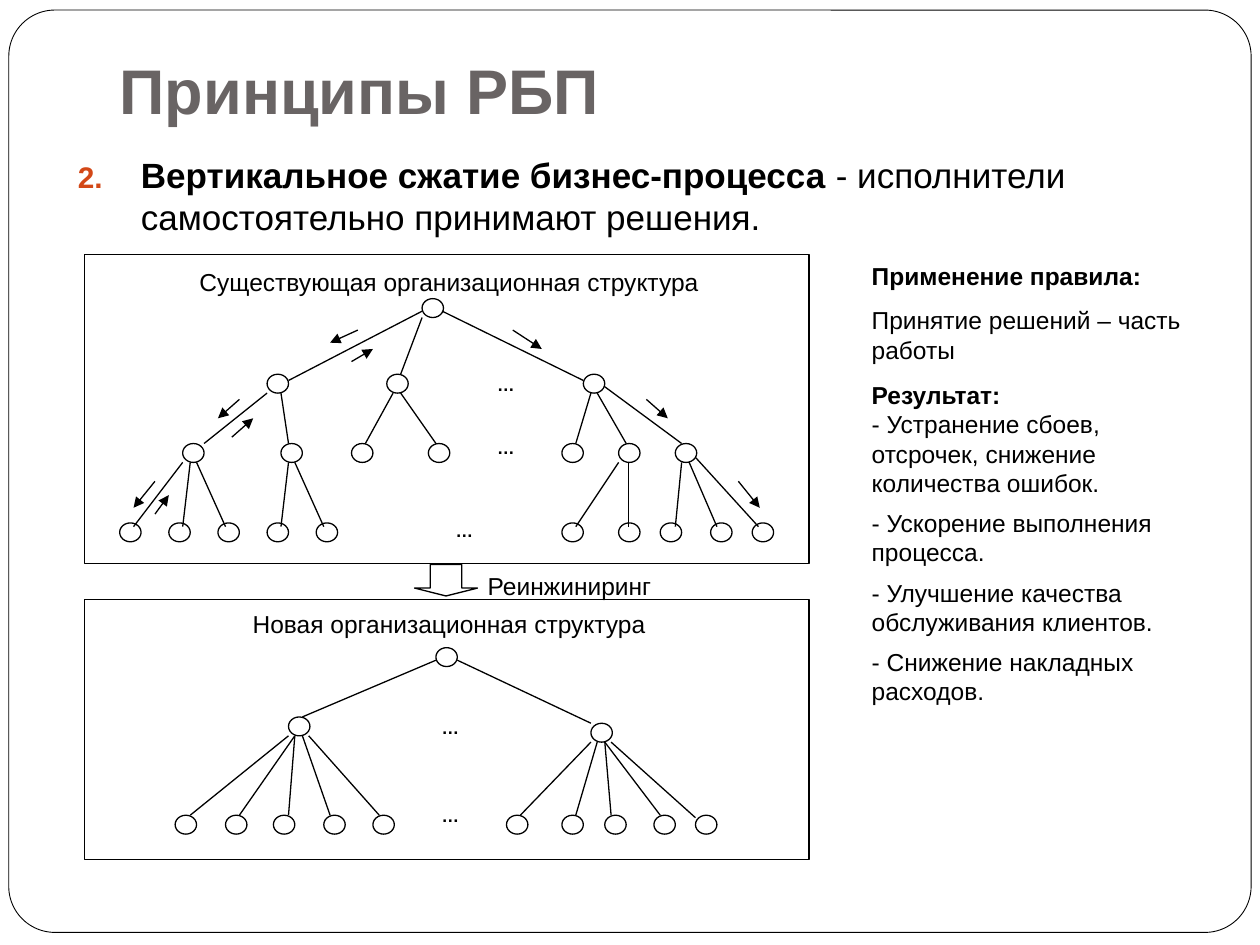
"""Build the slide on vertical compression of a business process."""
from lxml import etree
from pptx import Presentation
from pptx import util as u
from pptx.dml.color import RGBColor
from pptx.enum import shapes, text
from pptx.oxml.ns import qn

THEME = {
    "font": "Arial", "ink": "000000", "paper": "FFFFFF", "title": "696464", "accent": "D34817",
    "title_size": 36, "lead_size": 20, "label_size": 14, "dots_size": 10,
    "line": 0.75, "frame_line": 0.5,
}
KINDS = shapes.MSO_SHAPE
NODE = (0.17, 0.15)
LABEL_HEIGHT = 0.2
DOTS_WIDTH = 0.45

TITLE = "Принципы РБП"
LEAD = [("Вертикальное сжатие бизнес-процесса ", True),
        ("- исполнители самостоятельно принимают решения.", False)]
NOTES = [
    ("Применение правила:", True, 8.8),
    ("Принятие решений – часть работы", False, 8.8),
    ("Результат:", True, 8.8),
    ("- Устранение сбоев, отсрочек, снижение количества ошибок.", False, 0),
    ("- Ускорение выполнения процесса.", False, 6.1),
    ("- Улучшение качества обслуживания клиентов.", False, 6.1),
    ("- Снижение накладных расходов.", False, 6.1),
]
CAPTIONS = [
    ("Существующая организационная структура", 1.11, 2.12, 4.91),
    ("Новая организационная структура", 1.11, 4.83, 4.91),
    ("Реинжиниринг", 3.85, 4.53, 1.34),
]
PANELS = [(0.67, 4.76, 5.75, 2.06), (0.67, 2.02, 5.75, 2.45)]
DOTS = [(3.79, 2.97), (3.79, 3.47), (3.46, 4.13), (3.35, 5.69), (3.35, 6.39)]

NODE_ROWS = [
    (2.37, [3.35]),
    (2.97, [2.12, 3.07, 4.63]),
    (3.52, [1.45, 2.23, 2.79, 3.4, 4.46, 4.91, 5.36]),
    (4.15, [0.95, 1.34, 1.73, 2.12, 2.51, 4.46, 4.91, 5.24, 5.64, 5.97]),
    (5.14, [3.46]),
    (5.69, [2.29]),
    (5.74, [4.69]),
    (6.47, [1.39, 1.79, 2.17, 2.57, 2.96, 4.02, 4.46, 4.8, 5.19, 5.52]),
]
BRANCH_ROWS = [
    (2.47, 3.02, [(3.35, 2.29), (3.51, 4.63)]),
    (2.52, 2.97, [(3.35, 3.18)]),
    (3.12, 3.52, [(2.12, 1.62), (2.23, 2.29), (3.12, 2.9), (3.18, 3.46),
                  (4.69, 4.57), (4.74, 4.97)]),
    (3.07, 3.52, [(4.8, 5.41)]),
    (3.67, 4.18, [(1.45, 1.06), (1.51, 1.45), (1.56, 1.79), (2.29, 2.23), (2.34, 2.57),
                  (4.91, 4.57), (4.99, 4.99), (5.41, 5.36), (5.47, 5.69)]),
    (3.63, 4.18, [(5.52, 6.02)]),
    (5.24, 5.69, [(3.46, 2.4)]),
    (5.24, 5.74, [(3.63, 4.69)]),
    (5.84, 6.47, [(2.29, 1.51), (2.34, 1.9), (2.34, 2.29), (2.4, 2.62), (2.45, 3.01)]),
    (5.89, 6.47, [(4.69, 4.13), (4.74, 4.57), (4.8, 4.85), (4.8, 5.24)]),
    (5.89, 6.49, [(4.85, 5.52)]),
]
SIGNAL_ROWS = [
    (2.62, 2.72, [(2.84, 2.62)]),
    (2.62, 2.77, [(4.07, 4.3)]),
    (3.17, 3.32, [(1.9, 1.73), (5.13, 5.3)]),
    (3.82, 4.03, [(1.23, 1.06), (5.86, 6.03)]),
    (2.87, 2.77, [(2.79, 2.96)]),
    (3.47, 3.32, [(1.84, 2.01)]),
    (4.08, 3.93, [(1.23, 1.34)]),
]


def color(name):
    return RGBColor.from_string(THEME[name])


def apply(target, values):
    for name, value in values.items():
        setattr(target, name, value)


def box(*lengths):
    return [u.Inches(length) for length in lengths]


def write(paragraph, words, size, bold=False, ink="ink"):
    run = paragraph.add_run()
    run.text = words
    apply(run.font, {"name": THEME["font"], "size": u.Pt(THEME[size]), "bold": bold})
    run.font.color.rgb = color(ink)


def add_block(canvas, kind, area, line="line"):
    shape = canvas.add_shape(kind, *box(*area))
    shape.shadow.inherit = False
    shape.fill.solid()
    shape.fill.fore_color.rgb = color("paper")
    if line:
        shape.line.color.rgb = color("ink")
        shape.line.width = u.Pt(THEME[line])
    else:
        shape.line.fill.background()
    return shape


def add_label(canvas, words, left, top, width, size="label_size", bold=False):
    shape = add_block(canvas, KINDS.RECTANGLE, (left, top, width, LABEL_HEIGHT), None)
    apply(shape.text_frame, {
        "margin_left": 0, "margin_right": 0, "margin_top": 0, "margin_bottom": 0,
        "word_wrap": True, "vertical_anchor": text.MSO_ANCHOR.TOP})
    paragraph = shape.text_frame.paragraphs[0]
    paragraph.alignment = text.PP_ALIGN.CENTER
    write(paragraph, words, size, bold)


def add_lines(canvas, rows, arrow=False):
    for start, end, pairs in rows:
        for source, target in pairs:
            line = canvas.add_connector(
                shapes.MSO_CONNECTOR.STRAIGHT, *box(source, start, target, end))
            line.line.color.rgb = color("ink")
            line.line.width = u.Pt(THEME["line"])
            properties = line._element.spPr
            if arrow:
                etree.SubElement(properties.find(qn("a:ln")), qn("a:tailEnd"), type="triangle")
            etree.SubElement(properties, qn("a:effectLst"))


def add_text(slide, area):
    frame = slide.shapes.add_textbox(*box(*area)).text_frame
    frame.word_wrap = True
    return frame


def add_title(slide):
    title = slide.shapes.title
    apply(title, dict(zip(("left", "top", "width", "height"), box(0.85, 0.3, 8.5, 0.81))))
    apply(title.text_frame, {
        "margin_bottom": u.Inches(0.1), "vertical_anchor": text.MSO_ANCHOR.BOTTOM,
        "auto_size": text.MSO_AUTO_SIZE.NONE, "word_wrap": True})
    paragraph = title.text_frame.paragraphs[0]
    paragraph.alignment = text.PP_ALIGN.LEFT
    write(paragraph, TITLE, "title_size", True, "title")
    border = add_block(slide.shapes, KINDS.ROUNDED_RECTANGLE, (0.07, 0.08, 9.86, 7.32), "frame_line")
    border.adjustments[0] = 0.05
    title._element.addprevious(border._element)


def add_lead(slide):
    paragraph = add_text(slide, (0.52, 1.17, 9, 1)).paragraphs[0]
    paragraph.space_before = u.Pt(5.8)
    properties = paragraph._p.get_or_add_pPr()
    indent = u.Inches(0.5)
    properties.set("marL", str(indent))
    properties.set("indent", str(-indent))
    bullet_color = etree.SubElement(properties, qn("a:buClr"))
    etree.SubElement(bullet_color, qn("a:srgbClr"), val=THEME["accent"])
    etree.SubElement(properties, qn("a:buSzPct"), val="85000")
    etree.SubElement(properties, qn("a:buFont"), typeface=THEME["font"])
    etree.SubElement(properties, qn("a:buAutoNum"), type="arabicPeriod", startAt="2")
    for words, bold in LEAD:
        write(paragraph, words, "lead_size", bold)


def add_diagram(slide):
    canvas = slide.shapes.add_group_shape().shapes
    for panel in PANELS:
        add_block(canvas, KINDS.RECTANGLE, panel)
    for top, lefts in NODE_ROWS:
        for left in lefts:
            add_block(canvas, KINDS.OVAL, (left, top, *NODE))
    add_lines(canvas, BRANCH_ROWS)
    add_lines(canvas, SIGNAL_ROWS, arrow=True)
    for left, top in DOTS:
        add_label(canvas, "…", left, top, DOTS_WIDTH, "dots_size", True)
    for caption in CAPTIONS:
        add_label(canvas, *caption)
    arrow = add_block(canvas, KINDS.DOWN_ARROW, (3.29, 4.48, 0.5, 0.25))
    arrow.adjustments[1] = 0.25


def add_notes(slide):
    frame = add_text(slide, (6.82, 2.02, 2.84, 3.64))
    for index, (words, bold, space) in enumerate(NOTES):
        paragraph = frame.add_paragraph() if index else frame.paragraphs[0]
        paragraph.space_before = u.Pt(space)
        write(paragraph, words, "label_size", bold)


def main():
    presentation = Presentation()
    apply(presentation, {"slide_width": u.Inches(10), "slide_height": u.Inches(7.5)})
    slide = presentation.slides.add_slide(presentation.slide_layouts[5])
    for add_part in (add_title, add_lead, add_diagram, add_notes):
        add_part(slide)
    presentation.save("out.pptx")


if __name__ == "__main__":
    main()
